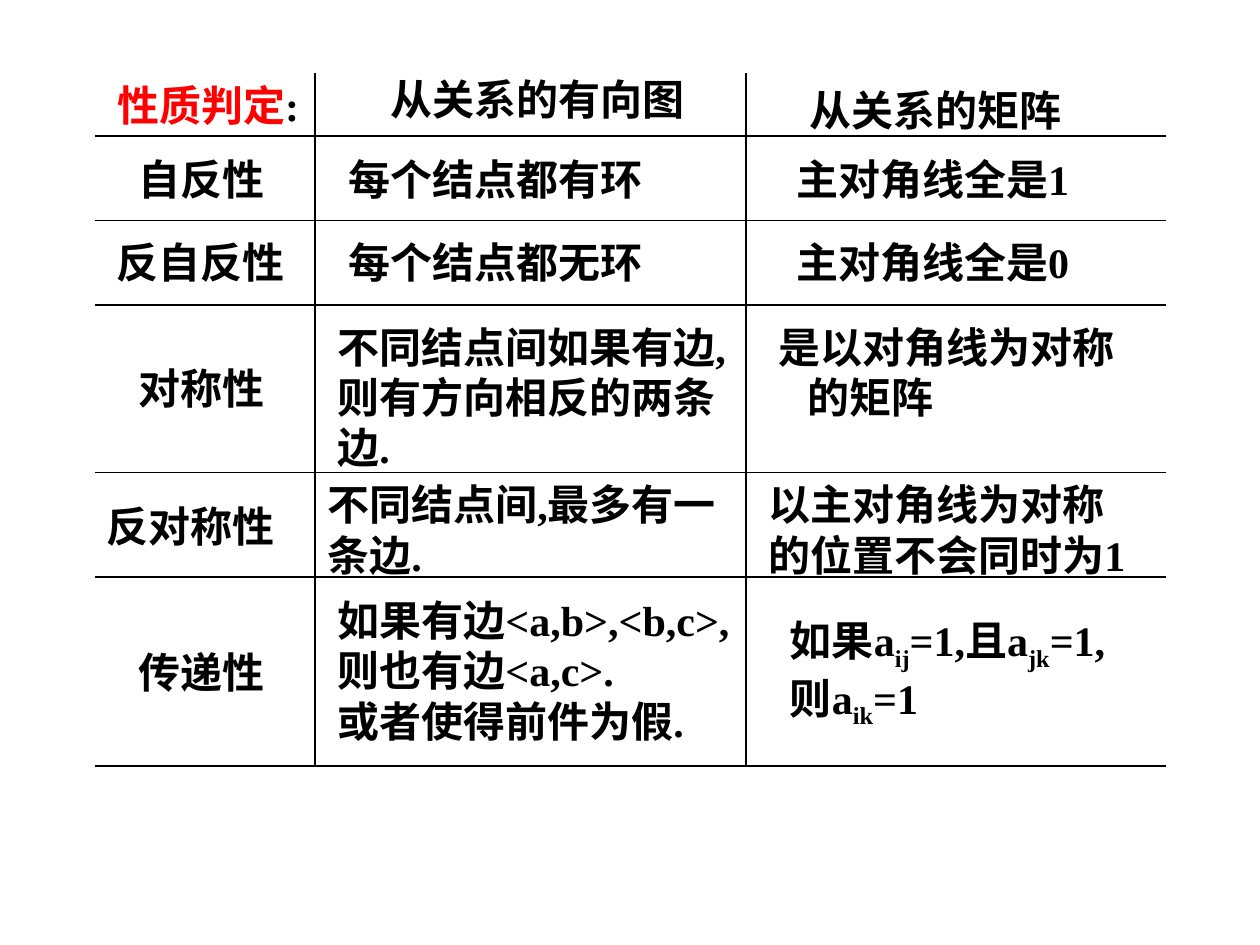
"""Build a slide that tells how to judge relation properties from digraph and matrix."""
import pptx
import pptx.dml.color
import pptx.enum.shapes
import pptx.enum.text
import pptx.util
from pptx.util import Inches

BLACK = pptx.dml.color.RGBColor(0x00, 0x00, 0x00)
RED = pptx.dml.color.RGBColor(0xFF, 0x00, 0x00)
FONT_FORMAT = {"name": "Times New Roman", "size": pptx.util.Pt(24), "bold": True}
FRAME_FORMAT = {
    "word_wrap": True,
    "auto_size": pptx.enum.text.MSO_AUTO_SIZE.NONE,
    "vertical_anchor": pptx.enum.text.MSO_ANCHOR.TOP,
    "margin_left": Inches(0.1),
    "margin_right": Inches(0.1),
    "margin_top": Inches(0.05),
    "margin_bottom": Inches(0.05),
}


def add_rule(x1, y1, x2, y2):
    """Draw one thin table rule."""
    rule = slide.shapes.add_connector(
        pptx.enum.shapes.MSO_CONNECTOR.STRAIGHT,
        Inches(x1), Inches(y1), Inches(x2), Inches(y2))
    rule.line.color.rgb = BLACK
    rule.line.width = pptx.util.Pt(0.75)
    rule._element.spPr.append(pptx.oxml.parse_xml(
        '<a:effectLst xmlns:a="http://schemas.openxmlformats.org/drawingml/2006/main"/>'))


def write(box, segments, colors=(BLACK,), subscripts=False):
    """Fill a box with runs, every second one a subscript if asked."""
    frame = box.text_frame
    for key, value in FRAME_FORMAT.items():
        setattr(frame, key, value)
    paragraph = frame.paragraphs[0]
    paragraph.alignment = pptx.enum.text.PP_ALIGN.LEFT
    for index, segment in enumerate(segments):
        for part, line in enumerate(segment.split("\n")):
            if part:
                paragraph.add_line_break()
            run = paragraph.add_run()
            run.text = line
            for key, value in FONT_FORMAT.items():
                setattr(run.font, key, value)
            run.font.color.rgb = colors[index % len(colors)]
            if subscripts and index % 2:
                run.font._element.set("baseline", "-25000")
    return paragraph


presentation = pptx.Presentation()
presentation.slide_width = Inches(10)
presentation.slide_height = Inches(7.5)
slide = presentation.slides.add_slide(presentation.slide_layouts[5])

heading = slide.shapes.title
heading_place = {"left": 0.83, "top": 0.58, "width": 2, "height": 0.5}
for side, length in heading_place.items():
    setattr(heading, side, Inches(length))
write(heading, ["性质判定", ":"], (RED, BLACK))

for row_y in (1.08, 1.75, 2.42, 3.75, 4.58, 6.08):
    add_rule(0.75, row_y, 9.25, row_y)
for column_x in (2.5, 5.92):
    add_rule(column_x, 0.58, column_x, 6.08)

column_heads = [
    (3, 0.58, 2.67, 0.46, "从关系的有向图"),
    (6.33, 0.67, 2.33, 0.46, "从关系的矩阵"),
]
for *place, wording in column_heads:
    head = slide.shapes.add_textbox(*map(Inches, place))
    write(head, [wording]).line_spacing = 0.9

cells = [
    (1, 1.17, 1.33, 0.5, "自反性"),
    (2.67, 1.17, 3.2, 0.5, "每个结点都有环"),
    (6.22, 1.17, 3.03, 0.5, "主对角线全是1"),
    (0.83, 1.83, 1.58, 0.5, "反自反性"),
    (2.67, 1.83, 3.2, 0.5, "每个结点都无环"),
    (6.22, 1.83, 3.03, 0.5, "主对角线全是0"),
    (1, 2.83, 1.33, 0.5, "对称性"),
    (2.58, 2.5, 3.25, 1.3, "不同结点间如果有边,则有方向相反的两条边."),
    (0.75, 3.92, 1.58, 0.5, "反对称性"),
    (2.5, 3.75, 3.5, 0.9, "不同结点间,最多有一条边."),
    (6, 3.75, 3.17, 0.9, "以主对角线为对称的位置不会同时为1"),
    (1, 5.08, 1.33, 0.5, "传递性"),
    (2.58, 4.67, 3.5, 1.3, "如果有边<a,b>,<b,c>,则也有边<a,c>.\n或者使得前件为假."),
]
for *place, wording in cells:
    write(slide.shapes.add_textbox(*map(Inches, place)), [wording])

symmetric_matrix = slide.shapes.add_textbox(Inches(6.08), Inches(2.5), Inches(2.92), Inches(0.9))
hanging = write(symmetric_matrix, ["是以对角线为对称\n的矩阵"])
hanging._p.get_or_add_pPr().set("marL", str(Inches(0.23)))
hanging._p.get_or_add_pPr().set("indent", str(Inches(-0.23)))

transitive_matrix = slide.shapes.add_textbox(Inches(6.17), Inches(4.83), Inches(2.92), Inches(1.01))
write(transitive_matrix, ["如果a", "ij", "=1,且a", "jk", "=1,则a", "ik", "=1"], subscripts=True)

presentation.save("out.pptx")
